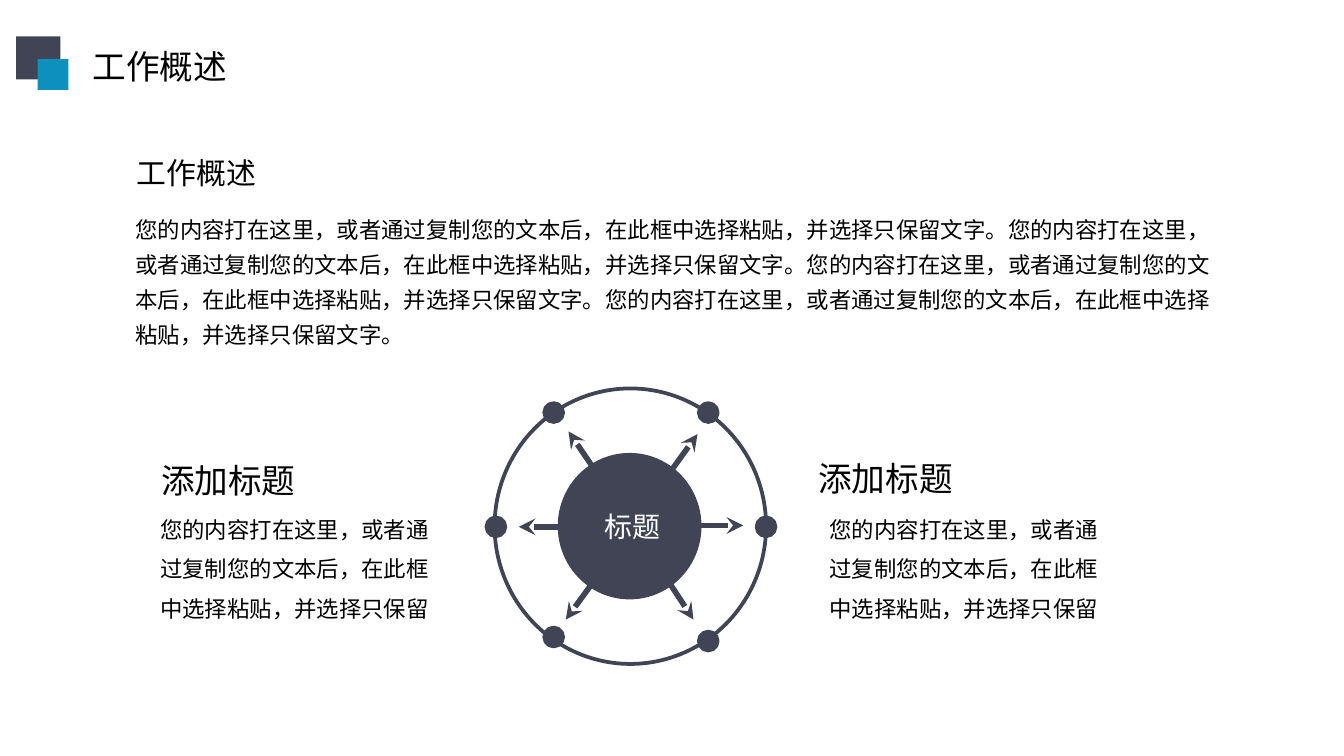
from typing import NamedTuple, Optional

from lxml.etree import SubElement
from pptx import Presentation
from pptx.dml.color import RGBColor
from pptx.enum.shapes import MSO_CONNECTOR, MSO_SHAPE
from pptx.enum.text import MSO_AUTO_SIZE, PP_ALIGN
from pptx.oxml.ns import qn
from pptx.util import Inches, Pt

FONT = "Noto Sans CJK SC"
DARK, BLUE, BLACK, WHITE = "414455", "0E90BE", "000000", "FFFFFF"
SENTENCE = "您的内容打在这里，或者通过复制您的文本后，在此框中选择粘贴，并选择只保留"


class Area(NamedTuple):
    left: float
    top: float
    width: float
    height: float

    def lengths(self) -> list:
        return [Inches(value) for value in self]


class Arrow(NamedTuple):
    start: tuple
    end: tuple


class SideNote(NamedTuple):
    heading: Area
    body: Area


DOT_SIZE = 0.14
DOTS = [(5.2, 3), (4.05, 3), (3.62, 3.85), (5.63, 3.85), (5.2, 4.7), (4.05, 4.67)]
ARROWS = [
    Arrow((4.7, 3.91), (5.19, 3.23)),
    Arrow((4.69, 3.91), (5.53, 3.91)),
    Arrow((4.7, 3.9), (4.23, 3.21)),
    Arrow((4.69, 3.92), (3.86, 3.92)),
    Arrow((4.7, 3.94), (4.21, 4.61)),
    Arrow((4.72, 3.94), (5.16, 4.61)),
]
SIDE_NOTES = [
    SideNote(Area(5.99, 3.36, 1.21, 0.4), Area(6.02, 3.7, 2.25, 0.98)),
    SideNote(Area(1.1, 3.37, 1.21, 0.4), Area(1.04, 3.7, 2.25, 0.99)),
]


def color(value: str) -> RGBColor:
    return RGBColor.from_string(value)


def add_figure(page, kind: MSO_SHAPE, area: Area, fill: Optional[str] = None,
               line: Optional[str] = None) -> None:
    """Draw a preset shape; a missing fill or line colour means none."""
    figure = page.shapes.add_shape(kind, *area.lengths())
    figure.shadow.inherit = False
    if fill:
        figure.fill.solid()
        figure.fill.fore_color.rgb = color(fill)
    else:
        figure.fill.background()
    if line:
        figure.line.color.rgb = color(line)
        figure.line.width = Pt(2)
    else:
        figure.line.fill.background()


def add_arrow(page, arrow: Arrow) -> None:
    points = [Inches(value) for value in arrow.start + arrow.end]
    connector = page.shapes.add_connector(MSO_CONNECTOR.STRAIGHT, *points)
    connector.line.color.rgb = color(DARK)
    connector.line.width = Pt(3)
    SubElement(connector.line._get_or_add_ln(), qn("a:tailEnd"), type="stealth")
    SubElement(connector._element.spPr, qn("a:effectLst"))


def add_text(page, text: str, area: Area, *, size: float, fill: str = BLACK,
             wrap: bool = False, align: PP_ALIGN = PP_ALIGN.LEFT,
             spacing=None) -> None:
    box = page.shapes.add_textbox(*area.lengths())
    frame = box.text_frame
    frame.word_wrap = wrap
    frame.auto_size = MSO_AUTO_SIZE.SHAPE_TO_FIT_TEXT
    para = frame.paragraphs[0]
    para.alignment = align
    para.line_spacing = spacing
    span = para.add_run()
    span.text = text
    span.font.size = Pt(size)
    span.font.color.rgb = color(fill)
    span.font.name = FONT
    SubElement(span._r.get_or_add_rPr(), qn("a:ea"), typeface=FONT)


def draw_wheel(page) -> None:
    add_figure(page, MSO_SHAPE.OVAL, Area(3.68, 2.89, 2.02, 2.05), line=DARK)
    for left, top in DOTS:
        add_figure(page, MSO_SHAPE.OVAL, Area(left, top, DOT_SIZE, DOT_SIZE),
                   fill=DARK, line=DARK)
    for arrow in ARROWS:
        add_arrow(page, arrow)


def main() -> None:
    deck = Presentation()
    deck.slide_width = Inches(10)
    deck.slide_height = deck.slide_width * 9 // 16
    page = deck.slides.add_slide(deck.slide_layouts[6])

    draw_wheel(page)
    add_text(page, (SENTENCE + "文字。") * 4, Area(0.91, 1.5, 8.2, 1.43),
             size=12, wrap=True, spacing=1.3)
    add_text(page, "工作概述", Area(0.92, 1.1, 1.1, 0.37), size=16)
    add_figure(page, MSO_SHAPE.OVAL, Area(4.15, 3.37, 1.07, 1.09), fill=DARK)
    add_text(page, "标题", Area(4.4, 3.74, 0.69, 0.35), size=15, fill=WHITE)
    for note in SIDE_NOTES:
        add_text(page, "添加标题", note.heading, size=18)
        add_text(page, SENTENCE, note.body, size=12, wrap=True,
                 align=PP_ALIGN.RIGHT, spacing=Pt(21))

    add_text(page, "工作概述", Area(0.59, 0.29, 1.21, 0.4), size=18)
    add_figure(page, MSO_SHAPE.RECTANGLE, Area(0.12, 0.27, 0.33, 0.32), fill=DARK)
    add_figure(page, MSO_SHAPE.RECTANGLE, Area(0.28, 0.44, 0.23, 0.23), fill=BLUE)
    deck.save("out.pptx")


if __name__ == "__main__":
    main()
